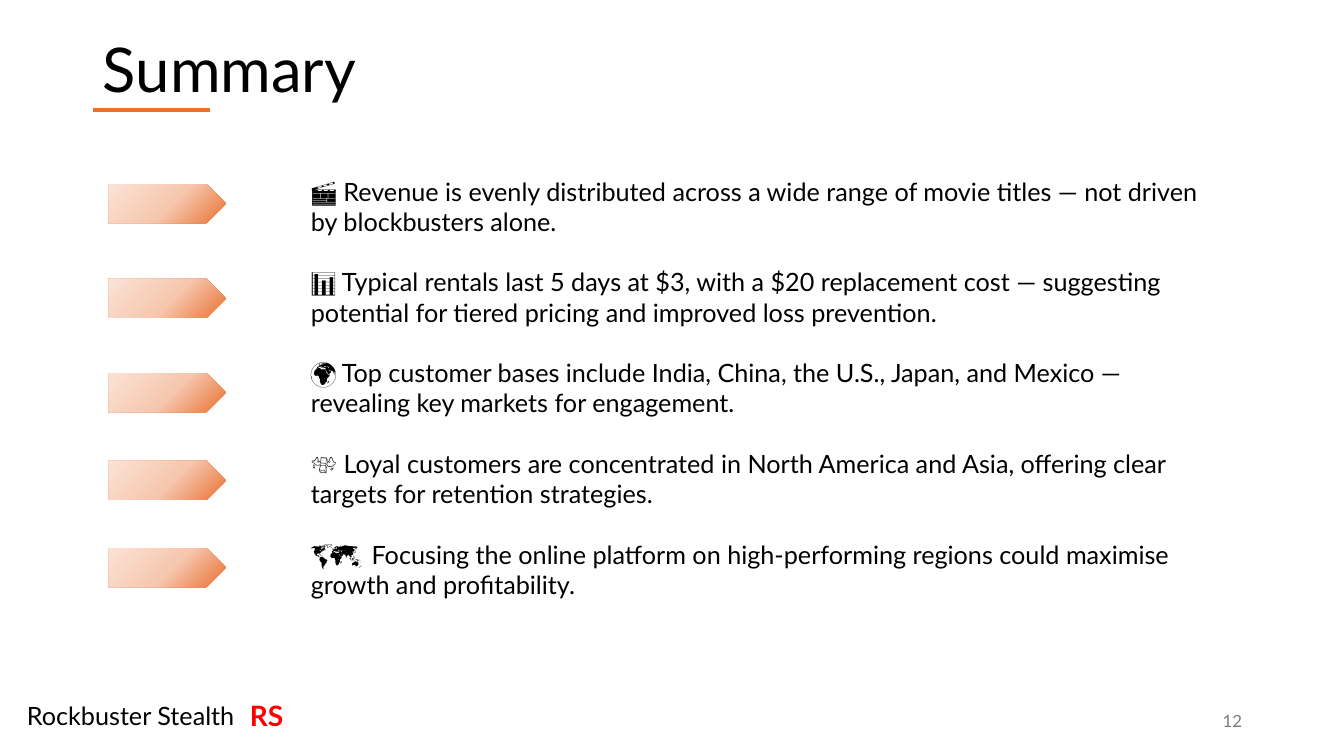
from dataclasses import dataclass

from lxml import etree
from pptx import Presentation
from pptx.dml.color import RGBColor
from pptx.enum.shapes import MSO_CONNECTOR, MSO_SHAPE
from pptx.enum.text import MSO_ANCHOR, PP_ALIGN
from pptx.oxml import parse_xml
from pptx.oxml.ns import nsdecls, qn
from pptx.slide import Slide
from pptx.util import Emu, Pt

LEFT, CENTER, RIGHT = PP_ALIGN.LEFT, PP_ALIGN.CENTER, PP_ALIGN.RIGHT
TOP, MIDDLE = MSO_ANCHOR.TOP, MSO_ANCHOR.MIDDLE
STRAIGHT, PENTAGON = MSO_CONNECTOR.STRAIGHT, MSO_SHAPE.PENTAGON

EMU_PER_PX = 914400 / 100.8
FONT = "Lato"
COLORS = {
    "text": "000000",
    "number": "797979",
    "initials": "FF0000",
    "accent": "E97132",
    "accent_mid": "F6C6AD",
    "accent_light": "FBE3D6",
}
ARROW_STOPS = ((0, "accent_light"), (54, "accent_mid"), (100, "accent"))
ARROW_LEFT, ARROW_WIDTH, ARROW_HEIGHT = 109, 117, 39
ARROW_TOPS = (184, 279, 373, 461, 548)


@dataclass(frozen=True)
class TextBlock:
    left: int
    top: int
    width: int
    height: int
    lines: tuple[str, ...]
    size: int
    color: str = "text"
    align: PP_ALIGN = LEFT
    anchor: MSO_ANCHOR = TOP
    bold: bool = False
    line_spacing: float = 1.0
    gap: float = 0


FINDINGS = (
    "🎬 Revenue is evenly distributed across a wide range of movie titles — not driven by blockbusters alone.",
    "📊 Typical rentals last 5 days at $3, with a $20 replacement cost — suggesting potential for tiered pricing "
    "and improved loss prevention.",
    "🌍 Top customer bases include India, China, the U.S., Japan, and Mexico — revealing key markets for engagement.",
    "💸 Loyal customers are concentrated in North America and Asia, offering clear targets for retention strategies.",
    "🗺️ Focusing the online platform on high-performing regions could maximise growth and profitability.",
)

TEXT_BLOCKS = (
    TextBlock(950, 701, 302, 40, ("12",), 12, "number", RIGHT, MIDDLE),
    TextBlock(93, 0, 1159, 146, ("Summary",), 44, anchor=MIDDLE, line_spacing=0.9),
    TextBlock(17, 695, 385, 40, ("Rockbuster Stealth",), 18),
    TextBlock(210, 694, 113, 44, ("RS",), 20, "initials", CENTER, bold=True),
    TextBlock(301, 171, 933, 437, FINDINGS, 18, gap=21.6),
)


def px(length: int) -> Emu:
    return Emu(round(length * EMU_PER_PX))


def rgb(name: str) -> RGBColor:
    return RGBColor.from_string(COLORS[name])


def add_text(slide: Slide, block: TextBlock) -> None:
    box = slide.shapes.add_textbox(px(block.left), px(block.top), px(block.width), px(block.height))
    frame = box.text_frame
    frame.word_wrap = True
    frame.vertical_anchor = block.anchor
    frame.text = "\n".join(block.lines)
    for paragraph in frame.paragraphs:
        paragraph.alignment = block.align
        paragraph.line_spacing = block.line_spacing
        paragraph.space_after = Pt(block.gap)
        paragraph.font.name = FONT
        paragraph.font.size = Pt(block.size)
        paragraph.font.bold = block.bold
        paragraph.font.color.rgb = rgb(block.color)


def add_title_rule(slide: Slide) -> None:
    rule = slide.shapes.add_connector(STRAIGHT, px(93), px(110), px(210), px(110))
    rule.line.color.rgb = rgb("accent")
    rule.line.width = Pt(3)
    etree.SubElement(rule._element.spPr, qn("a:effectLst"))


def add_arrow(slide: Slide, top: int) -> None:
    arrow = slide.shapes.add_shape(PENTAGON, px(ARROW_LEFT), px(top), px(ARROW_WIDTH), px(ARROW_HEIGHT))
    arrow.shadow.inherit = False
    arrow.line.fill.background()
    # Radial gradient spreading from the top left corner
    stops = "".join(
        f'<a:gs pos="{percent * 1000}"><a:srgbClr val="{COLORS[name]}"/></a:gs>' for percent, name in ARROW_STOPS
    )
    gradient = parse_xml(
        f'<a:gradFill {nsdecls("a")} rotWithShape="1"><a:gsLst>{stops}</a:gsLst>'
        '<a:path path="circle"><a:fillToRect r="100000" b="100000"/></a:path></a:gradFill>'
    )
    arrow._element.spPr.find(qn("a:prstGeom")).addnext(gradient)


def main() -> None:
    presentation = Presentation()
    presentation.slide_width, presentation.slide_height = px(1344), px(756)
    slide = presentation.slides.add_slide(presentation.slide_layouts[6])

    # Title underline and arrows
    add_title_rule(slide)
    for top in ARROW_TOPS:
        add_arrow(slide, top)

    # Title, findings and footer
    for block in TEXT_BLOCKS:
        add_text(slide, block)

    presentation.save("out.pptx")


if __name__ == "__main__":
    main()
